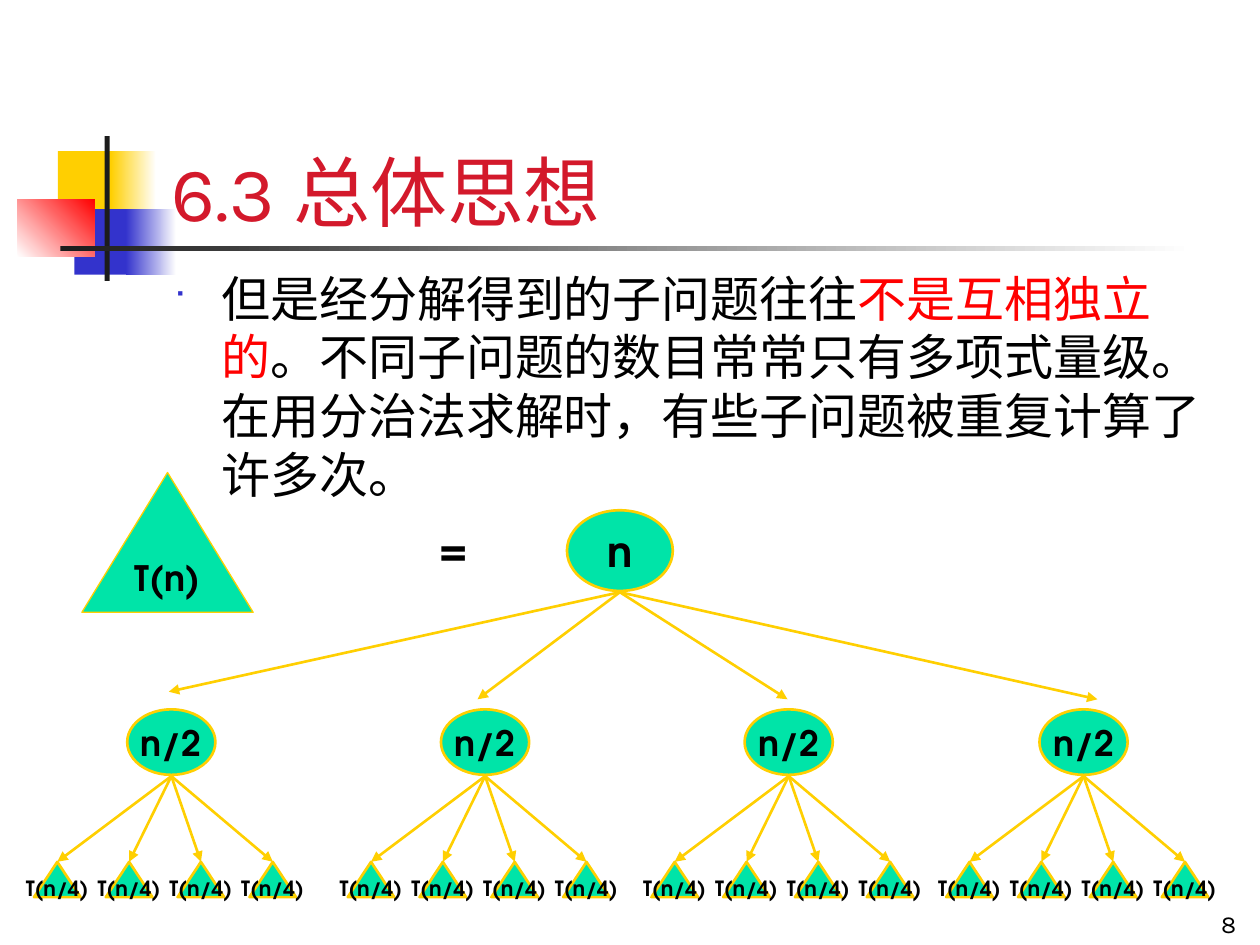
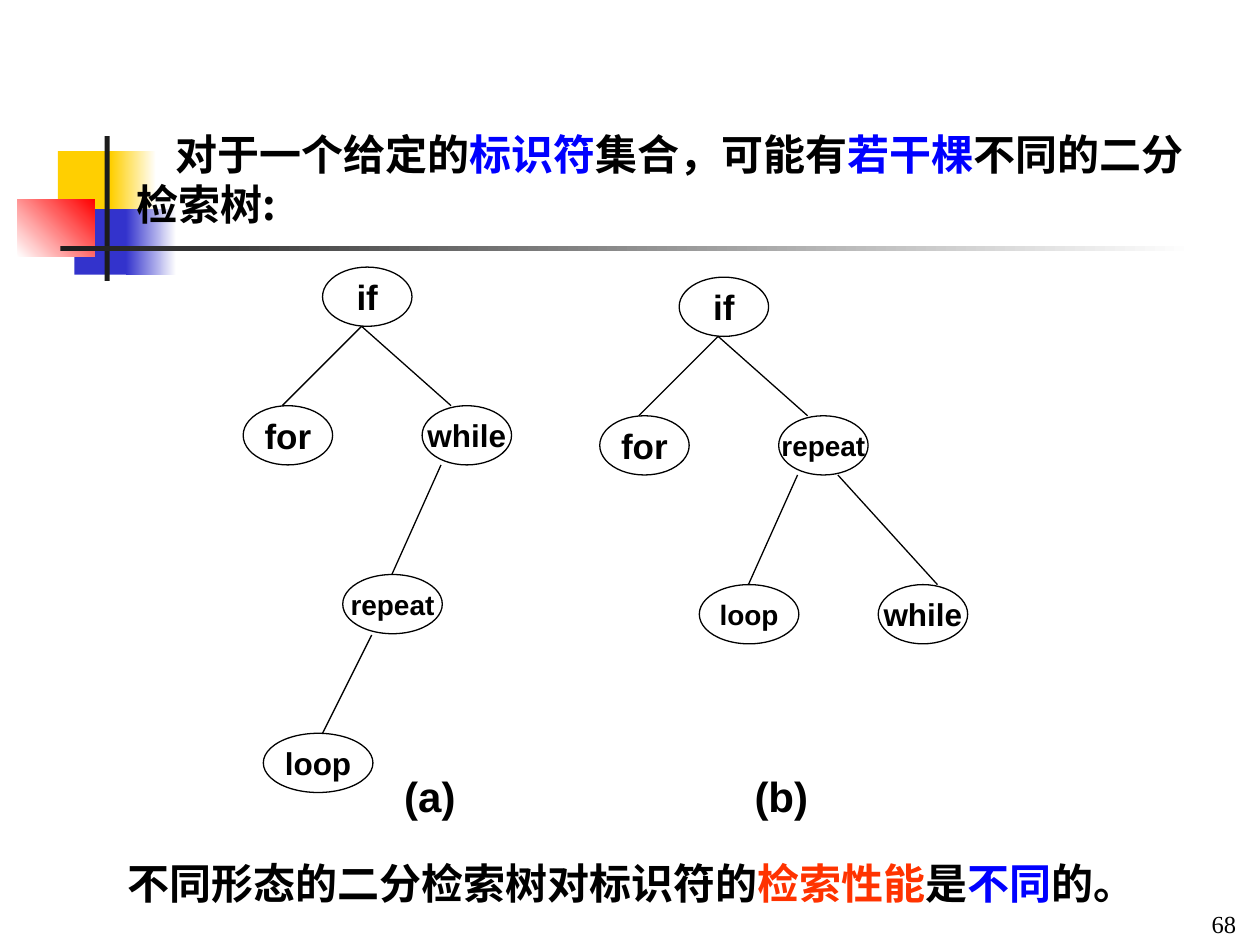
from dataclasses import dataclass
from typing import NamedTuple, Optional

from lxml import etree
from pptx import Presentation
from pptx.dml.color import RGBColor
from pptx.enum.shapes import MSO_CONNECTOR, MSO_SHAPE
from pptx.enum.text import MSO_ANCHOR, MSO_AUTO_SIZE, PP_ALIGN
from pptx.oxml.ns import qn
from pptx.util import Inches, Pt


@dataclass(frozen=True)
class Theme:
    black: str = "000000"
    white: str = "FFFFFF"
    title: str = "D3192B"
    red: str = "FF0000"
    orange: str = "FF3300"
    blue: str = "0000FF"
    indigo: str = "3333CC"
    yellow: str = "FFCF01"
    green: str = "00E4A8"
    charcoal: str = "1C1C1C"
    main_font: str = "Karla"
    chinese_font: str = "Noto Sans CJK SC"
    diagram_font: str = "TeX Gyre Adventor"
    tree_font: str = "Arial"
    number_font: str = "Times New Roman"
    bullet_font: str = "Wingdings"
    title_size: int = 44
    body_size: int = 28
    statement_size: int = 24
    node_size: int = 20
    leaf_size: int = 12
    number_size: int = 14


THEME = Theme()


class Box(NamedTuple):
    left: float
    top: float
    width: float
    height: float


class Point(NamedTuple):
    x: float
    y: float


class Span(NamedTuple):
    text: str
    color: str = THEME.black


class Style(NamedTuple):
    font: str
    size: int
    bold: bool = False


class Look(NamedTuple):
    fill: Optional[str]
    line: str
    line_width: float


class Band(NamedTuple):
    box: Box
    color: str
    end_color: Optional[str] = None
    angle: int = 0


class TreeNode(NamedTuple):
    label: str
    size: int
    left: float
    top: float
    width: float = 0.71


class Edge(NamedTuple):
    start: Point
    end: Point


class SearchTree(NamedTuple):
    origin: Point
    nodes: list[TreeNode]
    last_edge: Edge
    caption: str
    caption_left: float


DIAGRAM_LOOK = Look(THEME.green, THEME.yellow, 1.5)
TREE_LOOK = Look(None, THEME.black, 0.75)
STATEMENT = Style(THEME.chinese_font, THEME.statement_size, True)

BANDS = [
    Band(Box(0.46, 1.2, 0.48, 0.52), THEME.yellow),
    Band(Box(0.88, 1.2, 0.36, 0.52), THEME.yellow, THEME.white),
    Band(Box(0.59, 1.66, 0.46, 0.52), THEME.indigo),
    Band(Box(1, 1.66, 0.4, 0.52), THEME.indigo, THEME.white),
    Band(Box(0.14, 1.58, 0.61, 0.46), THEME.white, THEME.red, 45),
    Band(Box(0.83, 1.08, 0.04, 1.15), THEME.charcoal),
    Band(Box(0.48, 1.95, 9, 0.04), THEME.charcoal, THEME.white),
]


def rgb(color: str) -> RGBColor:
    return RGBColor.from_string(color)


def inches(values) -> list:
    return [Inches(value) for value in values]


# Text
def write(paragraph, spans: list[Span], style: Style, align=PP_ALIGN.LEFT) -> None:
    paragraph.alignment = align
    for span in spans:
        run = paragraph.add_run()
        run.text = span.text
        run.font.name, run.font.size, run.font.bold = style.font, Pt(style.size), style.bold
        run.font.color.rgb = rgb(span.color)
        east_asian = etree.SubElement(run.font._element, qn("a:ea"))
        east_asian.set("typeface", THEME.chinese_font)


def add_text(slide, box: Box, spans: list[Span], style: Style,
             align=PP_ALIGN.LEFT, anchor=MSO_ANCHOR.TOP):
    text_frame = slide.shapes.add_textbox(*inches(box)).text_frame
    text_frame.word_wrap = True
    text_frame.vertical_anchor = anchor
    paragraph = text_frame.paragraphs[0]
    write(paragraph, spans, style, align)
    return paragraph


def set_title(slide, box: Box, spans: list[Span], style: Style, anchor):
    title = slide.shapes.title
    title.left, title.top, title.width, title.height = inches(box)
    title.text_frame.auto_size = MSO_AUTO_SIZE.NONE
    title.text_frame.vertical_anchor = anchor
    paragraph = title.text_frame.paragraphs[0]
    write(paragraph, spans, style)
    return paragraph


def set_line_height(paragraph, size: int) -> None:
    paragraph.line_spacing = Pt(size * 1.2)


def set_indent(paragraph, first_line: float, margin: float = 0) -> None:
    properties = paragraph._p.get_or_add_pPr()
    properties.set("marL", str(Inches(margin)))
    properties.set("indent", str(Inches(first_line)))
    properties.set("hangingPunct", "0")


def add_square_bullet(paragraph) -> None:
    properties = paragraph._p.get_or_add_pPr()
    color = etree.SubElement(properties, qn("a:buClr"))
    etree.SubElement(color, qn("a:srgbClr")).set("val", THEME.indigo)
    etree.SubElement(properties, qn("a:buSzPct")).set("val", "60000")
    etree.SubElement(properties, qn("a:buFont")).set("typeface", THEME.bullet_font)
    etree.SubElement(properties, qn("a:buChar")).set("char", "■")


def add_slide_number(slide, number: str, font: str) -> None:
    add_text(slide, Box(7.83, 7, 2.08, 0.5), [Span(number)],
             Style(font, THEME.number_size), PP_ALIGN.RIGHT, MSO_ANCHOR.BOTTOM)


# Shapes
def add_node(slide, kind, box: Box, label: str, style: Style, look: Look):
    node = slide.shapes.add_shape(kind, *inches(box))
    node.shadow.inherit = False
    if look.fill:
        node.fill.solid()
        node.fill.fore_color.rgb = rgb(look.fill)
    else:
        node.fill.background()
    node.line.color.rgb = rgb(look.line)
    node.line.width = Pt(look.line_width)
    node.text_frame.word_wrap = False
    node.text_frame.vertical_anchor = MSO_ANCHOR.MIDDLE
    write(node.text_frame.paragraphs[0], [Span(label)], style, PP_ALIGN.CENTER)
    return node


def add_line(slide, start: Point, end: Point, look: Look, arrow: bool = False):
    connector = slide.shapes.add_connector(MSO_CONNECTOR.STRAIGHT, *inches((*start, *end)))
    connector.line.color.rgb = rgb(look.line)
    connector.line.width = Pt(look.line_width)
    if arrow:
        etree.SubElement(connector.line._get_or_add_ln(), qn("a:tailEnd")).set("type", "triangle")
    etree.SubElement(connector.element.spPr, qn("a:effectLst"))
    return connector


def add_bands_to_master(presentation, slide) -> None:
    master_tree = presentation.slide_master.shapes.element
    for position, band in enumerate(BANDS, start=2):
        shape = slide.shapes.add_shape(MSO_SHAPE.RECTANGLE, *inches(band.box))
        shape.shadow.inherit = False
        shape.line.fill.background()
        if band.end_color:
            shape.fill.gradient()
            shape.fill.gradient_angle = band.angle
            for stop, color in zip(shape.fill.gradient_stops, (band.color, band.end_color)):
                stop.color.rgb = rgb(color)
        else:
            shape.fill.solid()
            shape.fill.fore_color.rgb = rgb(band.color)
        master_tree.insert(position, shape.element)


# Slide with the recursion tree
def build_recursion_slide(slide) -> None:
    set_title(slide, Box(1.26, 0.68, 8.52, 1.25), [Span("6.3 总体思想", THEME.title)],
              Style(THEME.main_font, THEME.title_size), MSO_ANCHOR.BOTTOM)
    body = add_text(slide, Box(1.28, 2.08, 8.5, 2.1), [
        Span("但是经分解得到的子问题往往"),
        Span("不是互相独立的", THEME.red),
        Span("。不同子问题的数目常常只有多项式量级。在用分治法求解时，有些子问题被重复计算了许多次。"),
    ], Style(THEME.main_font, THEME.body_size))
    set_line_height(body, THEME.body_size)
    set_indent(body, -0.38, 0.38)
    add_square_bullet(body)
    add_slide_number(slide, "8", THEME.main_font)

    root_style = Style(THEME.diagram_font, THEME.statement_size, True)
    node_style = Style(THEME.diagram_font, THEME.node_size, True)
    leaf_style = Style(THEME.diagram_font, THEME.leaf_size, True)

    # Equation and root
    add_node(slide, MSO_SHAPE.ISOSCELES_TRIANGLE, Box(0.65, 3.75, 1.36, 1.11), "T(n)",
             node_style, DIAGRAM_LOOK._replace(line_width=0.75))
    add_text(slide, Box(3.04, 4.1, 1.12, 0.48), [Span("=")], root_style, PP_ALIGN.CENTER)
    add_node(slide, MSO_SHAPE.OVAL, Box(4.5, 4.05, 0.84, 0.64), "n", root_style, DIAGRAM_LOOK)

    # Four halves, each with four quarters
    halves = {1.36: Point(1.34, 5.49), 3.85: Point(3.79, 5.55),
              6.26: Point(6.25, 5.55), 8.6: Point(8.71, 5.55)}
    for center, arrow_end in halves.items():
        add_line(slide, Point(4.92, 4.7), arrow_end, DIAGRAM_LOOK, arrow=True)
        add_node(slide, MSO_SHAPE.OVAL, Box(center - 0.35, 5.63, 0.7, 0.52), "n/2",
                 node_style, DIAGRAM_LOOK)
        for index in range(4):
            leaf_left = center - 1.09 + 0.57 * index
            leaf = add_node(slide, MSO_SHAPE.ISOSCELES_TRIANGLE,
                            Box(leaf_left, 6.84, 0.37, 0.28), "T(n/4)", leaf_style, DIAGRAM_LOOK)
            arrow = add_line(slide, Point(center, 6.16), Point(leaf_left, 6.84),
                             DIAGRAM_LOOK, arrow=True)
            arrow.end_connect(leaf, 0)


# Slide with the two search trees; node places are relative to the root
SHARED_EDGES = [
    Edge(Point(0.31, 0.47), Point(-0.32, 1.1)),
    Edge(Point(0.31, 0.47), Point(1.02, 1.1)),
    Edge(Point(0.94, 1.57), Point(0.55, 2.44)),
]
SHARED_NODES = [TreeNode("if", 20, 0, 0), TreeNode("for", 20, -0.63, 1.1)]
SEARCH_TREES = [
    SearchTree(Point(2.56, 2.12), [
        TreeNode("while", 18, 0.79, 1.1),
        TreeNode("repeat", 16, 0.16, 2.44, 0.79),
        TreeNode("loop", 18, -0.47, 3.7, 0.87),
    ], Edge(Point(0.39, 2.92), Point(0, 3.7)), "(a)", 3.11),
    SearchTree(Point(5.39, 2.2), [
        TreeNode("repeat", 16, 0.79, 1.1),
        TreeNode("loop", 16, 0.16, 2.44, 0.79),
        TreeNode("while", 18, 1.58, 2.44),
    ], Edge(Point(1.26, 1.57), Point(2.05, 2.44)), "(b)", 5.89),
]


def add_search_tree(slide, tree: SearchTree) -> None:
    def place(point: Point) -> Point:
        return Point(tree.origin.x + point.x, tree.origin.y + point.y)

    for node in SHARED_NODES + tree.nodes:
        corner = place(Point(node.left, node.top))
        add_node(slide, MSO_SHAPE.OVAL, Box(*corner, node.width, 0.47), node.label,
                 Style(THEME.tree_font, node.size, True), TREE_LOOK)
    for edge in SHARED_EDGES + [tree.last_edge]:
        add_line(slide, place(edge.start), place(edge.end), TREE_LOOK)
    add_text(slide, Box(tree.caption_left, 6.07, 0.67, 0.5), [Span(tree.caption)],
             Style(THEME.tree_font, THEME.statement_size, True))


def build_search_tree_slide(slide) -> None:
    heading = set_title(slide, Box(0.98, 0.97, 8.58, 0.9), [
        Span("对于一个给定的"), Span("标识符", THEME.blue), Span("集合，可能有"),
        Span("若干棵", THEME.blue), Span("不同的二分检索树:"),
    ], STATEMENT, MSO_ANCHOR.TOP)
    set_indent(heading, 0.31)
    add_slide_number(slide, "68", THEME.number_font)
    for tree in SEARCH_TREES:
        add_search_tree(slide, tree)
    conclusion = add_text(slide, Box(0.91, 6.76, 8.82, 0.5), [
        Span("不同形态的二分检索树对标识符的"), Span("检索性能", THEME.orange),
        Span("是"), Span("不同", THEME.blue), Span("的。"),
    ], STATEMENT)
    for paragraph in (heading, conclusion):
        set_line_height(paragraph, THEME.statement_size)


def main() -> None:
    presentation = Presentation()
    presentation.slide_width, presentation.slide_height = Inches(10), Inches(7.5)
    title_only = presentation.slide_layouts[5]
    slides = [presentation.slides.add_slide(title_only) for _ in range(2)]
    add_bands_to_master(presentation, slides[0])
    build_recursion_slide(slides[0])
    build_search_tree_slide(slides[1])
    presentation.save("out.pptx")


if __name__ == "__main__":
    main()
